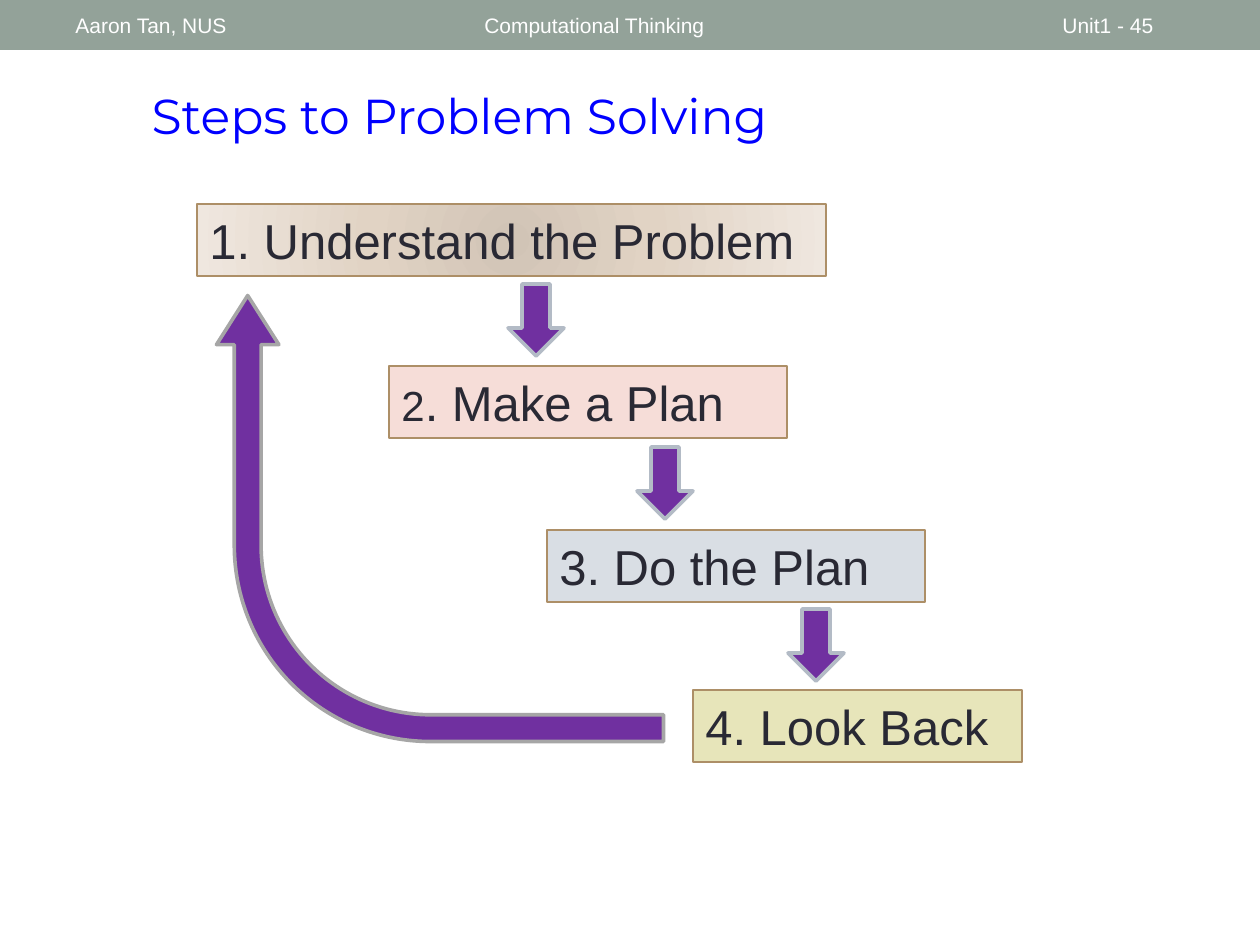
from pptx import Presentation
from pptx.dml.color import RGBColor
from pptx.enum.shapes import MSO_SHAPE
from pptx.enum.text import MSO_ANCHOR, PP_ALIGN
from pptx.oxml import parse_xml
from pptx.oxml.ns import nsdecls, qn
from pptx.util import Emu, Pt

PX = 914400 / 126
COLORS = {
    "header": "93A299", "white": "FFFFFF", "title": "0000FF", "text": "292934",
    "box_line": "AD8F67", "arrow": "7030A0", "arrow_line": "B3BBC6", "loop_line": "A6A6A6",
    "understand": "E1D3C4", "plan": "F6DDD8", "do": "D9DEE4", "look": "E7E5BA",
}
GRADIENT = [(0, "D1C4B6"), (45, "E1D3C4"), (100, "EFE7DF")]


def add_shape(kind, box, fill, line=None, width=0):
    """Add a flat preset shape; box is left, top, width, height in px."""
    shape = slide.shapes.add_shape(kind, *(Emu(round(v * PX)) for v in box))
    shape.shadow.inherit = False
    shape.fill.solid()
    shape.fill.fore_color.rgb = RGBColor.from_string(COLORS[fill])
    if line:
        shape.line.color.rgb = RGBColor.from_string(COLORS[line])
        shape.line.width = Pt(width)
    else:
        shape.line.fill.background()
    return shape


def write(shape, runs, color, font="Arial", align=PP_ALIGN.LEFT, anchor=MSO_ANCHOR.TOP):
    """Fill the shape with one paragraph made of (text, point size) runs."""
    frame = shape.text_frame
    frame.word_wrap = True
    frame.vertical_anchor = anchor
    paragraph = frame.paragraphs[0]
    paragraph.alignment = align
    for text, size in runs:
        run = paragraph.add_run()
        run.text = text
        for name, value in {"name": font, "size": Pt(size)}.items():
            setattr(run.font, name, value)
        run.font.color.rgb = RGBColor.from_string(COLORS[color])
    return paragraph


presentation = Presentation()
presentation.slide_width = Emu(round(1260 * PX))
presentation.slide_height = Emu(round(945 * PX))
slide = presentation.slides.add_slide(presentation.slide_layouts[6])

# Header band
add_shape(MSO_SHAPE.RECTANGLE, (0, 0, 1260, 50), "header")
for text, left, width in [
    ("Computational Thinking", 472, 567),
    ("Unit1 - 45", 1050, 147),
    ("Aaron Tan, NUS", 63, 400),
]:
    label = slide.shapes.add_textbox(*(Emu(round(v * PX)) for v in (left, 3, width, 45)))
    write(label, [(text, 12)], "white", anchor=MSO_ANCHOR.MIDDLE)

title = slide.shapes.add_textbox(*(Emu(round(v * PX)) for v in (63, 79, 793, 72)))
write(title, [("Steps to Problem Solving", 28)], "title", "Montserrat", PP_ALIGN.CENTER)

# Step boxes
step_boxes = []
for runs, left, top, width, fill in [
    ([("1. Understand the Problem", 28)], 197, 204, 629, "understand"),
    ([("2", 24), (". Make a Plan", 28)], 389, 366, 398, "plan"),
    ([("3. Do the Plan", 28)], 547, 530, 378, "do"),
    ([("4. Look Back", 28)], 693, 690, 329, "look"),
]:
    box = add_shape(MSO_SHAPE.RECTANGLE, (left, top, width, 72), fill, "box_line", 0.75)
    write(box, runs, "text").space_after = Pt(6)
    step_boxes.append(box)

# The first box has a radial gradient
stops = "".join(
    f'<a:gs pos="{position * 1000}"><a:srgbClr val="{color}"/></a:gs>'
    for position, color in GRADIENT
)
properties = step_boxes[0].element.spPr
properties.replace(properties.find(qn("a:solidFill")), parse_xml(
    f'<a:gradFill {nsdecls("a")} rotWithShape="1"><a:gsLst>{stops}</a:gsLst>'
    '<a:path path="circle"><a:fillToRect l="100000" t="100000" r="100000" b="100000"/>'
    '</a:path></a:gradFill>'
))

# Arrows from each step to the next
for center_x, center_y in [(536, 320), (665, 483), (816, 645)]:
    arrow = add_shape(MSO_SHAPE.RIGHT_ARROW, (center_x - 36, center_y - 28, 72, 56),
                      "arrow", "arrow_line", 2.08)
    arrow.rotation = 90

# Arrow looping back to the first step
loop = add_shape(MSO_SHAPE.BENT_ARROW, (217, 295, 446, 447), "arrow", "loop_line", 2.08)
loop.rotation = 270
for index, value in enumerate([0.06, 0.07, 0.11, 0.44]):
    loop.adjustments[index] = value

presentation.save("out.pptx")
